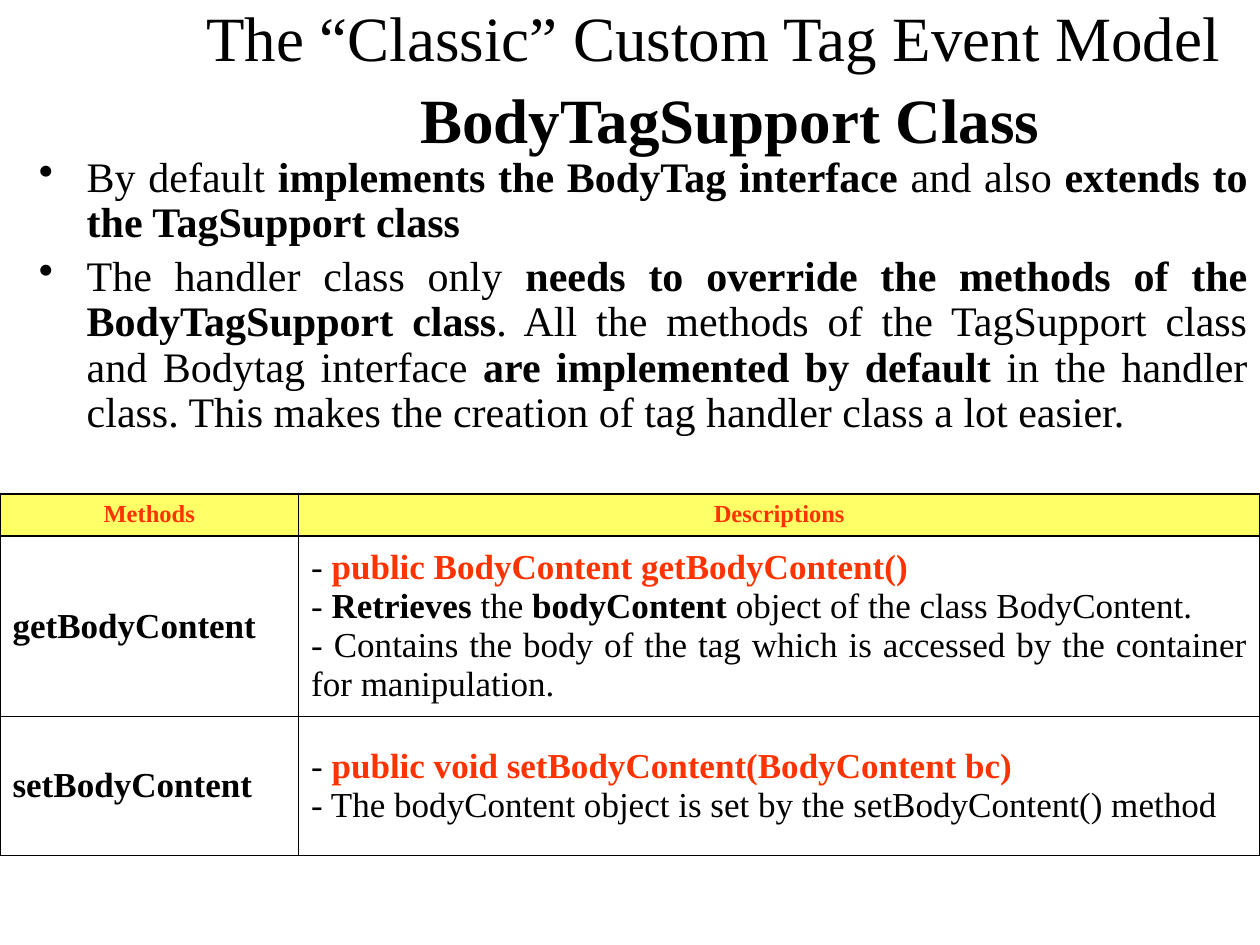
import pptx
import pptx.dml.color
import pptx.enum.text
import pptx.oxml
import pptx.oxml.ns
import pptx.util
from pptx.util import Inches

BLACK = pptx.dml.color.RGBColor(0x00, 0x00, 0x00)
RED = pptx.dml.color.RGBColor(0xFF, 0x33, 0x00)
YELLOW = pptx.dml.color.RGBColor(0xFF, 0xFF, 0x66)
ALIGN = pptx.enum.text.PP_ALIGN
MIDDLE = pptx.enum.text.MSO_ANCHOR.MIDDLE
TOP = pptx.enum.text.MSO_ANCHOR.TOP
NS = pptx.oxml.ns.nsdecls("a")


def write(para, text, size=20, bold=False, color=BLACK):
    run = para.add_run()
    run.text = text
    run.font.name = "Times New Roman"
    run.font.size = pptx.util.Pt(size)
    run.font.bold = bold
    run.font.color.rgb = color


def draw_borders(cell):
    props = cell._tc.get_or_add_tcPr()
    for place, side in enumerate(("lnL", "lnR", "lnT", "lnB")):
        line = pptx.oxml.parse_xml(
            f'<a:{side} {NS} w="12700"><a:solidFill>'
            f'<a:srgbClr val="{BLACK}"/></a:solidFill></a:{side}>')
        props.insert(place, line)


deck = pptx.Presentation()
deck.slide_width, deck.slide_height = Inches(10), Inches(7.5)
slide = deck.slides.add_slide(deck.slide_layouts[6])

# Title
title = slide.shapes.add_textbox(Inches(1.45), 0, Inches(8.55), Inches(1.24))
frame = title.text_frame
frame.word_wrap = True
frame.vertical_anchor = MIDDLE
para = frame.paragraphs[0]
para.alignment = ALIGN.CENTER
write(para, "The “Classic” Custom Tag Event Model ", size=36)
para.add_line_break()
write(para, " ", size=40, bold=True)
write(para, "BodyTagSupport Class", size=36, bold=True)

# Bullets: plain and bold runs alternate
points = [
    ["By default ", "implements the BodyTag interface ", "and also ",
     "extends to the TagSupport class"],
    ["The handler class only ",
     "needs to override the methods of the BodyTagSupport class",
     ". All the methods of the TagSupport class and Bodytag interface ",
     "are implemented by default ",
     "in the handler class. This makes the creation of tag handler class "
     "a lot easier."],
]
body = slide.shapes.add_textbox(
    Inches(0.21), Inches(1.19), Inches(9.79), Inches(2.48))
frame = body.text_frame
frame.word_wrap = True
for index, parts in enumerate(points):
    para = frame.add_paragraph() if index else frame.paragraphs[0]
    para.alignment = ALIGN.JUSTIFY
    para.line_spacing = 0.9
    para.space_before = pptx.util.Pt(4.8 if index else 0)
    props = para._p.get_or_add_pPr()
    props.set("marL", str(Inches(0.38)))
    props.set("indent", str(-Inches(0.38)))
    props.append(pptx.oxml.parse_xml(f'<a:buChar {NS} char="•"/>'))
    for turn, text in enumerate(parts):
        write(para, text, size=24, bold=turn % 2 == 1)

# Table: each cell is a list of paragraphs, each a list of (text, format)
head = {"size": 14, "bold": True, "color": RED}
bold = {"bold": True}
code = {"bold": True, "color": RED}
rows = [
    [[[("Methods", head)]], [[("Descriptions", head)]]],
    [[[("getBodyContent", bold)]],
     [[("- ", {}), ("public BodyContent getBodyContent()", code)],
      [("- ", {}), ("Retrieves", bold), (" the ", {}), ("bodyContent", bold),
       (" object of the class BodyContent.", {})],
      [("- Contains the body of the tag which is accessed by the container "
        "for manipulation.", {})]]],
    [[[("setBodyContent", bold)]],
     [[("- ", {}), ("public void setBodyContent(BodyContent bc)", code)],
      [("- The bodyContent object is set by the setBodyContent() method",
        {})]]],
]
table = slide.shapes.add_table(
    3, 2, 0, Inches(3.92), Inches(10), Inches(2.86)).table
for column, width in zip(table.columns, (2.37, 7.63)):
    column.width = Inches(width)
for row, height in zip(table.rows, (0.33, 1.43, 1.1)):
    row.height = Inches(height)

for r, row in enumerate(rows):
    for c, paras in enumerate(row):
        cell = table.cell(r, c)
        if r == 0:
            cell.fill.solid()
            cell.fill.fore_color.rgb = YELLOW
        else:
            cell.fill.background()
        cell.vertical_anchor = MIDDLE if r else TOP
        draw_borders(cell)
        frame = cell.text_frame
        for index, runs in enumerate(paras):
            para = frame.add_paragraph() if index else frame.paragraphs[0]
            para.alignment = ALIGN.JUSTIFY if r else ALIGN.CENTER
            for text, style in runs:
                write(para, text, **style)

deck.save("out.pptx")
